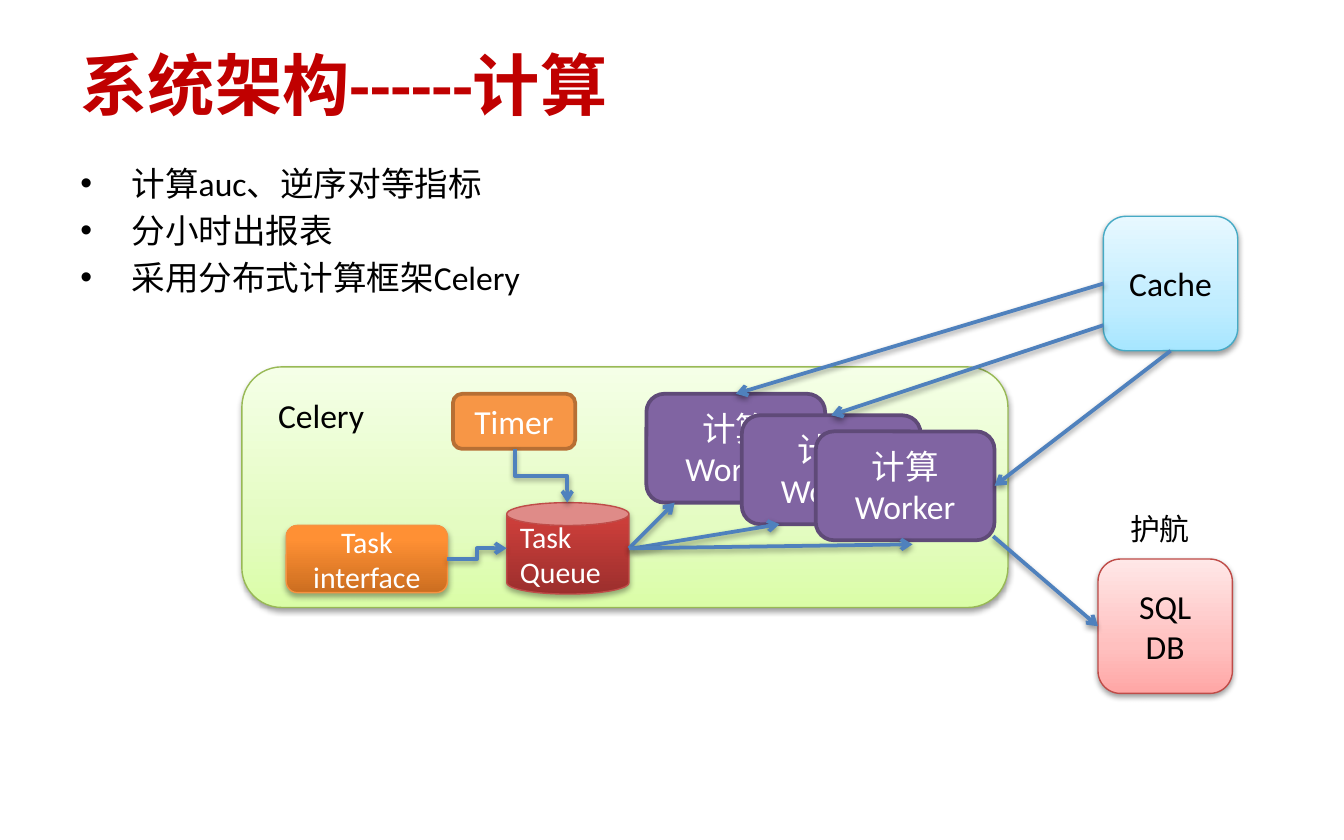
import copy

import pptx
import pptx.util
import pptx.dml.color
import pptx.oxml
import pptx.oxml.ns
import pptx.enum.shapes
import pptx.enum.text

PX = 9144  # one px is a hundredth of an inch
SHAPE = pptx.enum.shapes.MSO_SHAPE
LINK = pptx.enum.shapes.MSO_CONNECTOR
ALIGN = pptx.enum.text.PP_ALIGN
ANCHOR = pptx.enum.text.MSO_ANCHOR
TOP, LEFT, BOTTOM, RIGHT = range(4)

THEME = {
    "font": "Calibri",
    "title": (36, "C00000"), "dark": (18, "000000"), "caption": (16, "000000"),
    "light": (18, "FFFFFF"), "small": (16, "FFFFFF"),
    "link": "4F81BD", "thick": 2, "thin": 0.75,
}
# Style: fill (one colour, or gradient stops from the bottom up), line, shadow opacity
STYLES = {
    "green": ([(0, "DAFDA7"), (35, "E4FCC2"), (100, "F5FFE7")], "98B955", 38),
    "blue": ([(0, "A7E6FF"), (35, "C1EDFF"), (100, "E7F8FF")], "46AAC5", 38),
    "pink": ([(0, "FFA6A5"), (35, "FFC0BF"), (100, "FFE7E7")], "BF4C48", 38),
    "red": ([(0, "9C2F2D"), (80, "CB3E3A"), (100, "CE3B37")], "BF4C48", 35),
    "orange": ([(0, "CC6E20"), (80, "FF9034"), (100, "FF9136")], "F69240", 35),
    "flat orange": ("F79646", "B76F34", None),
    "purple": ("8064A2", "5F4A78", None),
}

# Content
TITLE = "系统架构------计算"
POINTS = ["计算auc、逆序对等指标", "分小时出报表", "采用分布式计算框架Celery"]
WORKER = "计算\nWorker"
NODES = [  # name, preset, box, text, type, style
    ("celery", SHAPE.ROUNDED_RECTANGLE, (180, 273, 570, 179), "", "dark", "green"),
    ("worker 1", SHAPE.ROUNDED_RECTANGLE, (481, 293, 133, 81), WORKER, "light", "purple"),
    ("worker 2", SHAPE.ROUNDED_RECTANGLE, (552, 309, 133, 81), WORKER, "light", "purple"),
    ("queue", SHAPE.CAN, (377, 374, 91, 68), "Task\nQueue", "small", "red"),
    ("timer", SHAPE.FLOWCHART_ALTERNATE_PROCESS, (337, 293, 91, 41), "Timer", "light", "flat orange"),
    ("worker 3", SHAPE.ROUNDED_RECTANGLE, (607, 321, 133, 81), WORKER, "light", "purple"),
    ("interface", SHAPE.ROUNDED_RECTANGLE, (213, 391, 120, 50), "Task\ninterface", "small", "orange"),
    ("cache", SHAPE.ROUNDED_RECTANGLE, (821, 161, 100, 100), "Cache", "dark", "blue"),
    ("database", SHAPE.ROUNDED_RECTANGLE, (817, 416, 100, 100), "SQL DB", "dark", "pink"),
]
LABELS = [
    ((197, 289, 85, 40), "Celery", "dark"),
    ((831, 375, 102, 37), "护航", "caption"),
]
# Each end is a point, or a node and its side
QUEUE_OUT = (468, 408)
ARROWS = [
    (QUEUE_OUT, (502, 374)),
    ((471, 408), (580, 390)),
    (QUEUE_OUT, (679, 405)),
    (("cache", LEFT), ("worker 1", TOP)),
    ((821, 242), ("worker 2", TOP)),
    (("cache", BOTTOM), ("worker 3", RIGHT)),
    ((739, 399), ("database", LEFT)),
]
ELBOW = (("interface", RIGHT), (377, 408))
DROP = ((383, 334), (422, 374))  # timer down to queue


def rgb(value):
    return pptx.dml.color.RGBColor.from_string(value)


def emu(*lengths):
    return [length * PX for length in lengths]


def write(frame, text, kind, align=ALIGN.LEFT, bold=False):
    size, color = THEME[kind]
    frame.text = text
    for para in frame.paragraphs:
        para.alignment = align
        for span in para.runs:
            span.font.name = THEME["font"]
            span.font.size = pptx.util.Pt(size)
            span.font.bold = bold
            span.font.color.rgb = rgb(color)


def add_shadow(shape, opacity):
    distance = 23000 if opacity == 35 else 20000
    shape._element.spPr.append(pptx.oxml.parse_xml(
        f'<a:effectLst {pptx.oxml.ns.nsdecls("a")}><a:outerShdw blurRad="40000" '
        f'dist="{distance}" dir="5400000" rotWithShape="0"><a:srgbClr val="000000">'
        f'<a:alpha val="{opacity * 1000}"/></a:srgbClr></a:outerShdw></a:effectLst>'))


def paint(shape, style):
    fill, line, opacity = STYLES[style]
    if isinstance(fill, str):
        shape.fill.solid()
        shape.fill.fore_color.rgb = rgb(fill)
    else:
        shape.fill.gradient()
        shape.fill.gradient_angle = 90
        stops = next(shape._element.spPr.iter(pptx.oxml.ns.qn("a:gsLst")))
        stops.append(copy.deepcopy(stops[0]))
        for stop, (position, color) in zip(shape.fill.gradient_stops, fill):
            stop.position = position / 100
            stop.color.rgb = rgb(color)
    shape.line.color.rgb = rgb(line)
    shape.line.width = pptx.util.Pt(THEME["thin"] if opacity else THEME["thick"])
    if opacity:
        add_shadow(shape, opacity)
    else:
        shape.shadow.inherit = False


def add_arrow(page, nodes, kind, start, end):
    points = [(0, 0) if isinstance(tip[0], str) else tip for tip in (start, end)]
    arrow = page.shapes.add_connector(kind, *emu(*points[0], *points[1]))
    if isinstance(start[0], str):
        arrow.begin_connect(nodes[start[0]], start[1])
    if isinstance(end[0], str):
        arrow.end_connect(nodes[end[0]], end[1])
    arrow.line.color.rgb = rgb(THEME["link"])
    arrow.line.width = pptx.util.Pt(THEME["thick"])
    arrow._element.spPr.find(pptx.oxml.ns.qn("a:ln")).append(pptx.oxml.parse_xml(
        f'<a:tailEnd {pptx.oxml.ns.nsdecls("a")} type="arrow"/>'))
    add_shadow(arrow, 38)
    return arrow


def main():
    deck = pptx.Presentation()
    deck.slide_width, deck.slide_height = emu(1000, 625)
    page = deck.slides.add_slide(deck.slide_layouts[5])

    # Title
    title = page.shapes.title
    title.left, title.top, title.width, title.height = emu(50, 25, 900, 75)
    write(title.text_frame, TITLE, "title", bold=True)
    title.text_frame.vertical_anchor = ANCHOR.MIDDLE

    # Bullet points
    frame = page.shapes.add_textbox(*emu(50, 116, 442, 157)).text_frame
    frame.word_wrap = True
    write(frame, "\n".join(POINTS), "dark")
    for para in frame.paragraphs:
        para.space_before = pptx.util.Pt(3.6)
        layout = para._p.get_or_add_pPr()
        layout.set("marL", str(38 * PX))
        layout.set("indent", str(-38 * PX))
        layout.append(pptx.oxml.parse_xml(
            f'<a:buFont {pptx.oxml.ns.nsdecls("a")} typeface="Arial"/>'))
        layout.append(pptx.oxml.parse_xml(
            f'<a:buChar {pptx.oxml.ns.nsdecls("a")} char="•"/>'))

    # Nodes
    nodes = {}
    for name, preset, box, text, kind, style in NODES:
        nodes[name] = shape = page.shapes.add_shape(preset, *emu(*box))
        paint(shape, style)
        if text:
            align = ALIGN.LEFT if preset == SHAPE.CAN else ALIGN.CENTER
            write(shape.text_frame, text, kind, align)
            shape.text_frame.vertical_anchor = ANCHOR.MIDDLE

    # Labels
    for box, text, kind in LABELS:
        write(page.shapes.add_textbox(*emu(*box)).text_frame, text, kind)

    # Arrows
    for start, end in ARROWS:
        add_arrow(page, nodes, LINK.STRAIGHT, start, end)
    add_arrow(page, nodes, LINK.ELBOW, *ELBOW)

    # The drop leaves downwards: a mirrored elbow, turned about its centre
    (x1, y1), (x2, y2) = DROP
    drop = add_arrow(page, nodes, LINK.ELBOW, *DROP)
    wide, high = x2 - x1, y2 - y1
    drop.left, drop.top, drop.width, drop.height = (
        int(length) for length in emu((x1 + x2 - high) / 2, (y1 + y2 - wide) / 2, high, wide))
    frame = drop._element.spPr.find(pptx.oxml.ns.qn("a:xfrm"))
    frame.set("rot", str(270 * 60000))
    frame.set("flipH", "1")

    deck.save("out.pptx")


if __name__ == "__main__":
    main()
